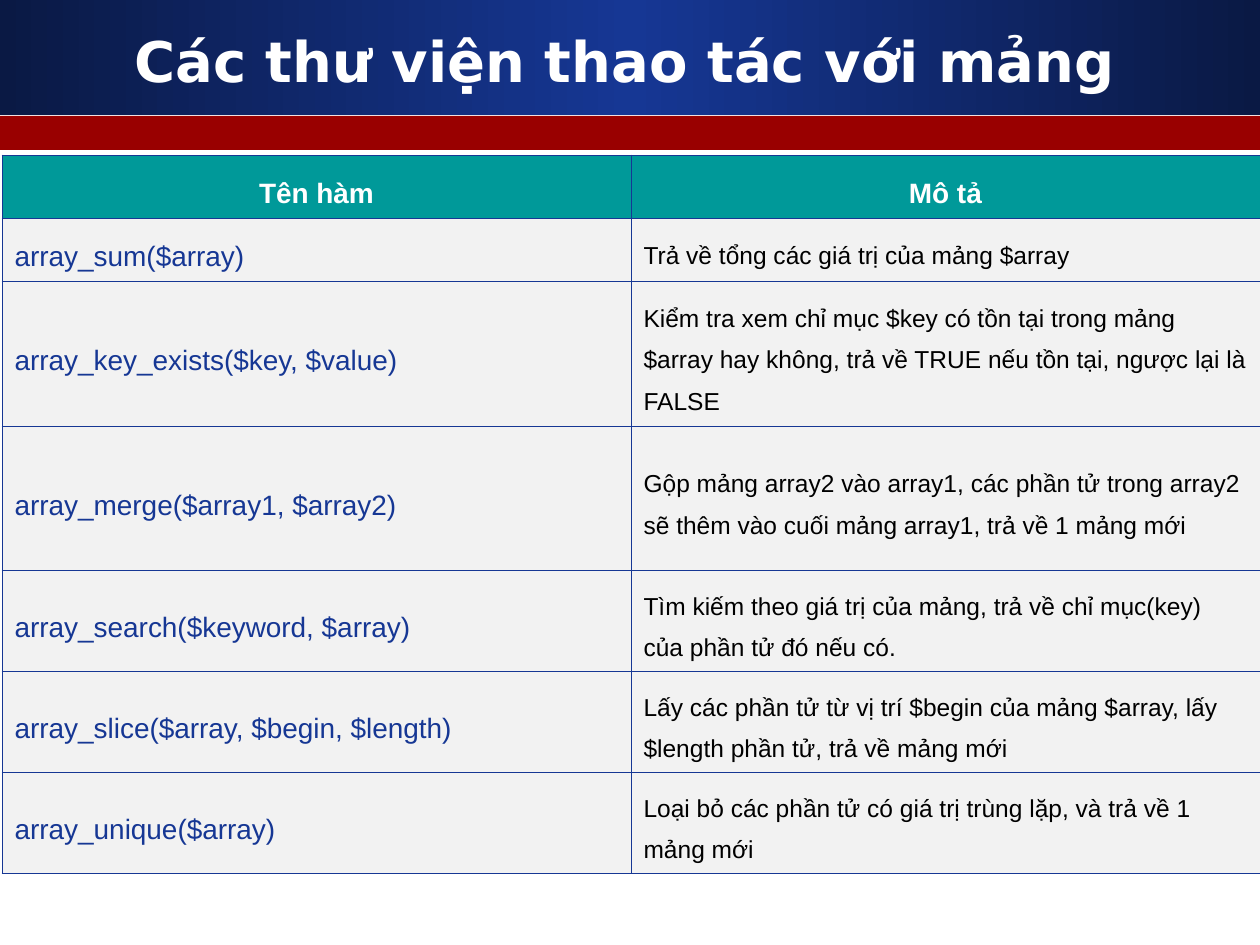
from copy import deepcopy

from lxml.etree import SubElement
from pptx import Presentation
from pptx.dml.color import RGBColor
from pptx.enum.shapes import MSO_SHAPE
from pptx.enum.text import MSO_ANCHOR, PP_ALIGN
from pptx.oxml.ns import qn
from pptx.util import Pt

PX = 914400 / 126
WHITE = RGBColor(0xFF, 0xFF, 0xFF)
BLACK = RGBColor(0x00, 0x00, 0x00)
NAVY = RGBColor(0x0A, 0x19, 0x44)
BLUE = RGBColor(0x16, 0x37, 0x94)
RED = RGBColor(0x99, 0x00, 0x00)
TEAL = RGBColor(0x00, 0x99, 0x99)
GRAY = RGBColor(0xF2, 0xF2, 0xF2)

TITLE = "Các thư viện thao tác với mảng"
HEADERS = ("Tên hàm", "Mô tả")
FUNCTIONS = [
    ("array_sum($array)", "Trả về tổng các giá trị của mảng $array"),
    ("array_key_exists($key, $value)",
     "Kiểm tra xem chỉ mục $key có tồn tại trong mảng $array hay không, "
     "trả về TRUE nếu tồn tại, ngược lại là FALSE"),
    ("array_merge($array1, $array2)",
     "Gộp mảng array2 vào array1, các phần tử trong array2 sẽ thêm vào cuối "
     "mảng array1, trả về 1 mảng mới"),
    ("array_search($keyword, $array)",
     "Tìm kiếm theo giá trị của mảng, trả về chỉ mục(key) của phần tử đó nếu có."),
    ("array_slice($array, $begin, $length)",
     "Lấy các phần tử từ vị trí $begin của mảng $array, lấy $length phần tử, "
     "trả về mảng mới"),
    ("array_unique($array)",
     "Loại bỏ các phần tử có giá trị trùng lặp, và trả về 1 mảng mới"),
]
ROW_HEIGHTS = (63, 63, 145, 144, 101, 101, 101)
COLUMN_WIDTH = 629
BANNER_STOPS = ((0, NAVY), (0.5, BLUE), (1, NAVY))
HEADER_STYLE = dict(size=16, color=WHITE, bold=True, align=PP_ALIGN.CENTER, spacing=1.5)
BODY_STYLES = (
    dict(size=16, color=BLUE, spacing=1.5),
    dict(size=14, color=BLACK, spacing=1.5),
)


def px(*lengths):
    return [round(length * PX) for length in lengths]


def write(frame, text, *, size, color, font="Arial", bold=False,
          align=PP_ALIGN.LEFT, spacing=1.0):
    frame.word_wrap = True
    paragraph = frame.paragraphs[0]
    paragraph.alignment = align
    paragraph.line_spacing = spacing
    run = paragraph.add_run()
    run.text = text
    run.font.name = font
    run.font.size = Pt(size)
    run.font.bold = bold
    run.font.color.rgb = color


def add_band(slide, top, height):
    band = slide.shapes.add_shape(MSO_SHAPE.RECTANGLE, *px(0, top, 1260, height))
    band.shadow.inherit = False
    band.line.fill.background()
    return band


def add_banner(slide):
    banner = add_band(slide, 0, 115)
    banner.fill.gradient()
    banner.fill.gradient_angle = 0
    stop_list = banner.fill.gradient_stops[0]._gs.getparent()
    stop_list.append(deepcopy(stop_list[0]))
    for stop, (position, color) in zip(banner.fill.gradient_stops, BANNER_STOPS):
        stop.position = position
        stop.color.rgb = color


def add_title(slide):
    title = slide.shapes.add_textbox(*px(42, 21, 1166, 78))
    title.text_frame.vertical_anchor = MSO_ANCHOR.MIDDLE
    write(title.text_frame, TITLE, size=32, color=WHITE, font="DejaVu Sans",
          bold=True, align=PP_ALIGN.CENTER)


def style_cell(cell, fill):
    properties = cell._tc.get_or_add_tcPr()
    for side in ("a:lnL", "a:lnR", "a:lnT", "a:lnB"):
        border = SubElement(properties, qn(side), w=str(Pt(0.45)))
        SubElement(SubElement(border, qn("a:solidFill")), qn("a:srgbClr"), val=str(BLUE))
    cell.fill.solid()
    cell.fill.fore_color.rgb = fill
    cell.vertical_anchor = MSO_ANCHOR.MIDDLE


def add_function_table(slide):
    rows = [HEADERS, *FUNCTIONS]
    table = slide.shapes.add_table(
        len(rows), len(HEADERS),
        *px(2, 155, COLUMN_WIDTH * len(HEADERS), sum(ROW_HEIGHTS))).table
    for column in table.columns:
        column.width = px(COLUMN_WIDTH)[0]
    for r, (texts, height) in enumerate(zip(rows, ROW_HEIGHTS)):
        table.rows[r].height = px(height)[0]
        for c, text in enumerate(texts):
            cell = table.cell(r, c)
            style_cell(cell, GRAY if r else TEAL)
            write(cell.text_frame, text, **(BODY_STYLES[c] if r else HEADER_STYLE))


def main():
    """Build the slide on PHP array functions."""
    deck = Presentation()
    deck.slide_width, deck.slide_height = px(1260, 945)
    slide = deck.slides.add_slide(deck.slide_layouts[6])
    add_banner(slide)
    stripe = add_band(slide, 116, 34)
    stripe.fill.solid()
    stripe.fill.fore_color.rgb = RED
    add_title(slide)
    add_function_table(slide)
    deck.save("out.pptx")


if __name__ == "__main__":
    main()
